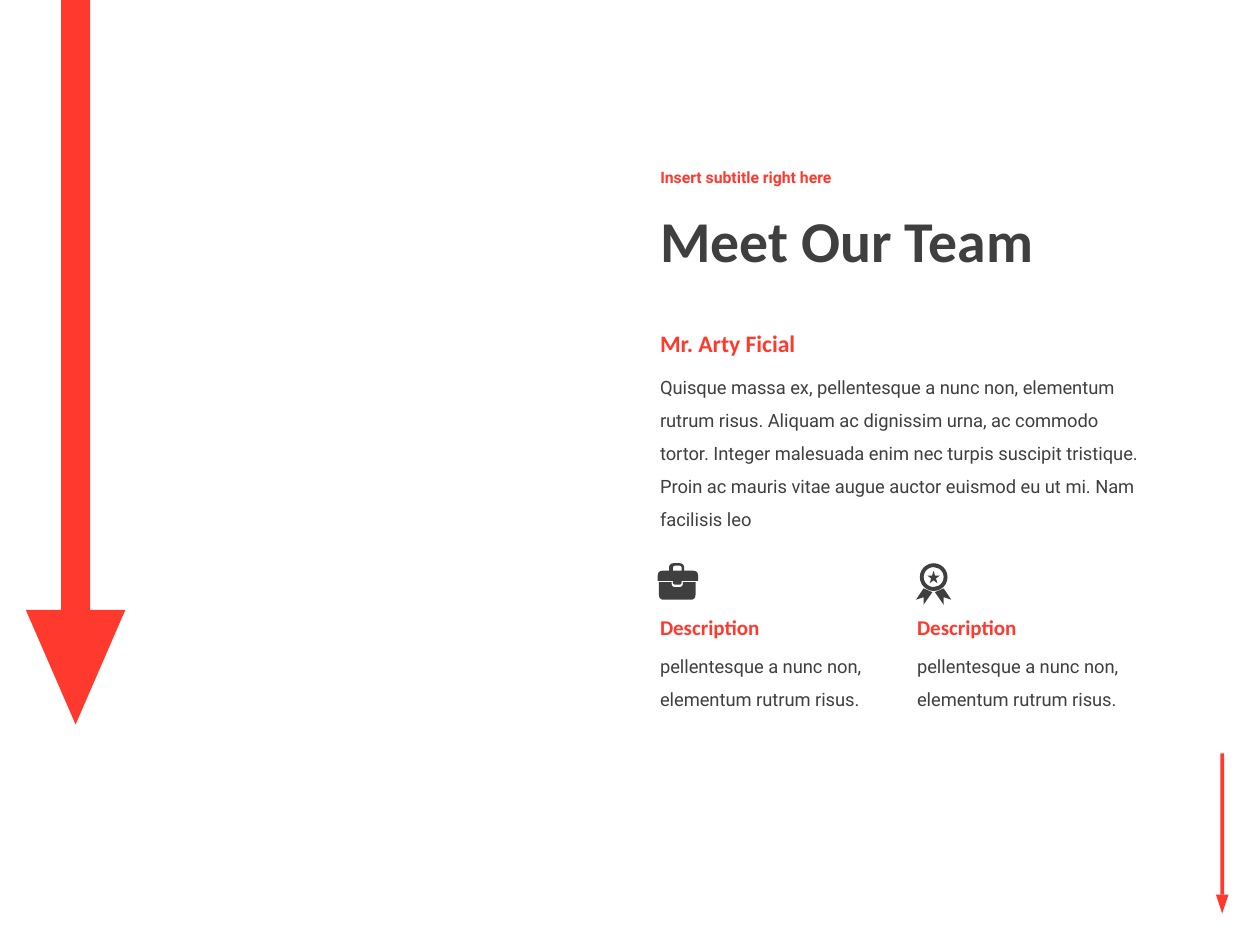
from math import hypot

from pptx import Presentation
from pptx.dml.color import RGBColor
from pptx.enum.shapes import MSO_SHAPE as Preset
from pptx.enum.text import MSO_ANCHOR as Anchor, MSO_AUTO_SIZE as AutoSize, PP_ALIGN as Align
from pptx.util import Inches, Pt

RED = RGBColor(0xFF, 0x39, 0x2E)
DARK = RGBColor(0x3F, 0x3F, 0x3F)
HEADING_FONT = "Calibri"
BODY_FONT = "Roboto"
TEXT_LEFT = 5.14
COLUMN_GAP = 2.04
DESCRIPTION = "pellentesque a nunc non, elementum rutrum risus."
BIOGRAPHY = (
    "Quisque massa ex, pellentesque a nunc non, elementum rutrum risus. "
    "Aliquam ac dignissim urna, ac commodo tortor. Integer malesuada enim nec "
    "turpis suscipit tristique. Proin ac mauris vitae augue auctor euismod eu "
    "ut mi. Nam facilisis leo"
)

# Icon outlines: x, y and corner radius
CASE_BASE = [(5.23, 4.62, 0), (5.33, 4.62, 0), (5.33, 4.66, 0.03), (5.42, 4.66, 0.03),
             (5.42, 4.62, 0), (5.52, 4.62, 0), (5.52, 4.76, 0.04), (5.23, 4.76, 0.04)]
CASE_LID = [(5.22, 4.53, 0.04), (5.31, 4.53, 0), (5.31, 4.47, 0.04), (5.43, 4.47, 0.04),
            (5.43, 4.53, 0), (5.54, 4.53, 0.04), (5.54, 4.61, 0), (5.41, 4.61, 0),
            (5.41, 4.64, 0.02), (5.34, 4.64, 0.02), (5.34, 4.61, 0), (5.22, 4.61, 0)]
HANDLE_HOLE = [(5.34, 4.53, 0), (5.34, 4.49, 0.02), (5.41, 4.49, 0.02), (5.41, 4.53, 0)]
RIBBON = [(7.33, 4.67, 0), (7.4, 4.7, 0), (7.33, 4.8, 0), (7.33, 4.74, 0), (7.27, 4.76, 0)]
MEDAL_CENTER = 7.41


def paint(shape, color):
    shape.shadow.inherit = False
    shape.fill.solid()
    shape.fill.fore_color.rgb = color
    shape.line.fill.background()


def add_preset(shapes, preset, left, top, width, height, color, rotation=0):
    shape = shapes.add_shape(preset, Inches(left), Inches(top), Inches(width), Inches(height))
    shape.rotation = rotation
    paint(shape, color)
    return shape


def add_down_arrow(slide, center, top, length, thickness, head_width, head_height):
    shapes = slide.shapes.add_group_shape().shapes
    add_preset(shapes, Preset.RECTANGLE, center - length / 2,
               top + (length - thickness) / 2, length, thickness, RED, 90)
    add_preset(shapes, Preset.ISOSCELES_TRIANGLE, center - head_width / 2,
               top + length, head_width, head_height, RED, 180)


def round_corners(vertices, steps=6):
    """Replace each corner that has a radius with points on a curve."""
    points = []
    for index, (x, y, radius) in enumerate(vertices):
        if not radius:
            points.append((Inches(x), Inches(y)))
            continue
        ends = []
        for near_x, near_y, _ in (vertices[index - 1], vertices[(index + 1) % len(vertices)]):
            share = radius / hypot(near_x - x, near_y - y)
            ends.append((x + (near_x - x) * share, y + (near_y - y) * share))
        (x1, y1), (x2, y2) = ends
        for step in range(steps + 1):
            t = step / steps
            a, b, c = (1 - t) ** 2, 2 * t * (1 - t), t ** 2
            points.append((Inches(a * x1 + b * x + c * x2), Inches(a * y1 + b * y + c * y2)))
    return points


def add_outline(shapes, *contours):
    first, *holes = [round_corners(contour) for contour in contours]
    builder = shapes.build_freeform(*first[0])
    builder.add_line_segments(first[1:], close=True)
    for hole in holes:
        builder.move_to(*hole[0])
        builder.add_line_segments(hole[1:], close=True)
    paint(builder.convert_to_shape(), DARK)


def add_briefcase(slide):
    shapes = slide.shapes.add_group_shape().shapes
    add_outline(shapes, CASE_BASE)
    add_outline(shapes, CASE_LID, HANDLE_HOLE)


def add_medal(slide):
    shapes = slide.shapes.add_group_shape().shapes
    ring = add_preset(shapes, Preset.DONUT, MEDAL_CENTER - 0.11, 4.47, 0.22, 0.22, DARK)
    ring.adjustments[0] = 0.14
    add_outline(shapes, RIBBON)
    add_outline(shapes, [(2 * MEDAL_CENTER - x, y, radius) for x, y, radius in RIBBON])
    add_preset(shapes, Preset.STAR_5_POINT, MEDAL_CENTER - 0.05, 4.53, 0.1, 0.1, DARK)


def write_text(shape, text, font_name, size, color, bold=False, spacing=1.0):
    frame = shape.text_frame
    frame.word_wrap = True
    paragraph = frame.paragraphs[0]
    paragraph.alignment = Align.LEFT
    paragraph.line_spacing = spacing
    paragraph.space_before = Pt(0)
    run = paragraph.add_run()
    run.text = text
    run.font.name = font_name
    run.font.size = Pt(size)
    run.font.bold = bold
    run.font.color.rgb = color


def fill_placeholder(shape, top, height, *text_style):
    shape.left, shape.top = Inches(TEXT_LEFT), Inches(top)
    shape.width, shape.height = Inches(5.63), Inches(height)
    shape.text_frame.auto_size = AutoSize.NONE
    shape.text_frame.vertical_anchor = Anchor.MIDDLE
    write_text(shape, *text_style, bold=True, spacing=0.9)


def add_text(slide, left, top, width, height, *text_style, **options):
    box = slide.shapes.add_textbox(Inches(left), Inches(top), Inches(width), Inches(height))
    box.text_frame.auto_size = AutoSize.SHAPE_TO_FIT_TEXT
    write_text(box, *text_style, **options)


def main():
    presentation = Presentation()
    presentation.slide_width, presentation.slide_height = Inches(10), Inches(7.5)
    slide = presentation.slides.add_slide(presentation.slide_layouts[0])

    # Title and subtitle
    fill_placeholder(slide.shapes.title, 1.42, 1.03, "Meet Our Team", HEADING_FONT, 33, DARK)
    fill_placeholder(slide.placeholders[1], 1.23, 0.38,
                     "Insert subtitle right here", BODY_FONT, 9, RED)

    # Decorative arrows
    add_down_arrow(slide, 9.7, 5.98, 1.12, 0.03, 0.1, 0.15)
    add_down_arrow(slide, 0.6, -0.21, 5.05, 0.23, 0.79, 0.91)

    # Team member
    add_text(slide, TEXT_LEFT, 2.85, 4, 1.13, BIOGRAPHY, BODY_FONT, 10.5, DARK, spacing=1.5)
    add_text(slide, TEXT_LEFT, 2.56, 2.19, 0.33,
             "Mr. Arty Ficial", HEADING_FONT, 13.5, RED, bold=True)

    # Description columns
    for column in range(2):
        left = TEXT_LEFT + column * COLUMN_GAP
        add_text(slide, left, 5.06, 1.89, 0.6, DESCRIPTION, BODY_FONT, 10.5, DARK, spacing=1.5)
        add_text(slide, left, 4.83, 1.5, 0.3, "Description", HEADING_FONT, 12, RED, bold=True)

    # Column icons
    add_briefcase(slide)
    add_medal(slide)

    presentation.save("out.pptx")


if __name__ == "__main__":
    main()
